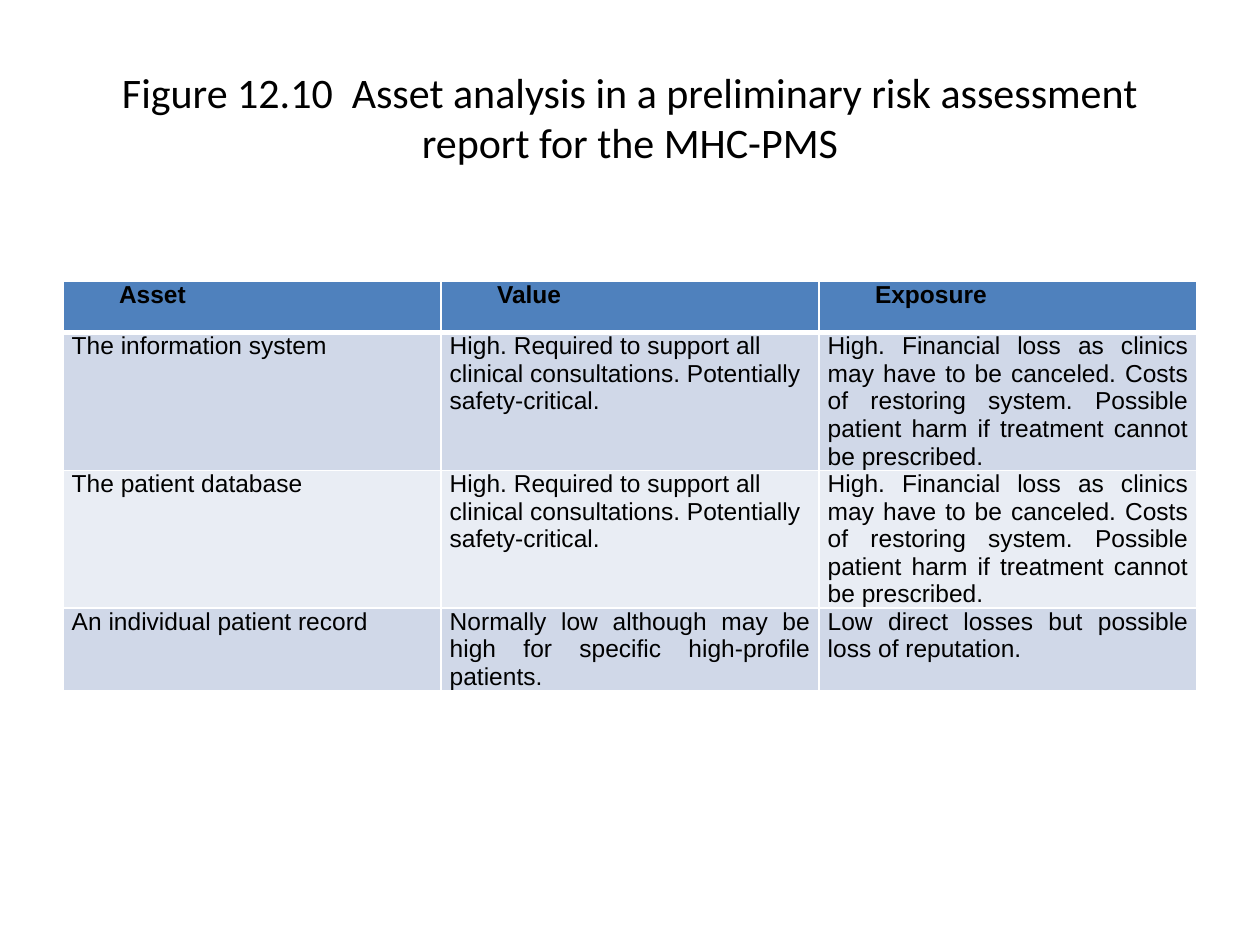
"""Build the asset analysis slide."""
from dataclasses import dataclass

import pptx
import pptx.dml.color
import pptx.enum.text
import pptx.util
from lxml import etree

Pt = pptx.util.Pt
ALIGN = pptx.enum.text.PP_ALIGN
ANCHOR = pptx.enum.text.MSO_ANCHOR
COLORS = {"text": "000000", "border": "FFFFFF", "header": "4F81BD",
          "band_dark": "D0D8E8", "band_light": "E9EDF4"}
DRAWING = "http://schemas.openxmlformats.org/drawingml/2006/main"
BORDER_TAGS = ("lnL", "lnR", "lnT", "lnB")
HEADER_INDENT = 27
ROW_HEIGHT = 29.5
COLUMN_WIDTH = 216


@dataclass
class Asset:
    """One row of the risk assessment."""
    name: str
    value: str
    exposure: str
    value_align: ALIGN = ALIGN.JUSTIFY


SUPPORT = ("High. Required to support all clinical consultations. "
           "Potentially safety-critical.")
LOSS = ("High. Financial loss as clinics may have to be canceled. Costs of "
        "restoring system. Possible patient harm if treatment cannot be prescribed.")
ASSETS = [
    Asset("Asset", "Value", "Exposure"),
    Asset("The information system", SUPPORT, LOSS, ALIGN.LEFT),
    Asset("The patient database", SUPPORT, LOSS, ALIGN.LEFT),
    Asset("An individual patient record",
          "Normally low although may be high for specific high-profile patients.",
          "Low direct losses but possible loss of reputation."),
]


def rgb(name: str) -> pptx.dml.color.RGBColor:
    """Return a named colour."""
    return pptx.dml.color.RGBColor.from_string(COLORS[name])


def format_font(para, face: str, size: float, bold: bool = False) -> None:
    """Format every run of a paragraph."""
    for span in para.runs:
        span.font.name = face
        span.font.size = Pt(size)
        span.font.bold = bold
        span.font.color.rgb = rgb("text")


def add_borders(cell, bottom: float) -> None:
    """Draw white cell borders, with the given width at the bottom."""
    properties = cell._tc.get_or_add_tcPr()
    for position, tag in enumerate(BORDER_TAGS):
        width = bottom if tag == "lnB" else 1
        line = etree.Element(f"{{{DRAWING}}}{tag}", w=str(int(Pt(width))))
        fill = etree.SubElement(line, f"{{{DRAWING}}}solidFill")
        etree.SubElement(fill, f"{{{DRAWING}}}srgbClr", val=COLORS["border"])
        properties.insert(position, line)


def fill_cell(cell, text: str, align: ALIGN, fill: str, header: bool) -> None:
    """Set the text, fill and borders of one cell."""
    cell.margin_left = cell.margin_right = Pt(5)
    cell.margin_top = cell.margin_bottom = Pt(0)
    cell.vertical_anchor = ANCHOR.TOP
    cell.fill.solid()
    cell.fill.fore_color.rgb = rgb(fill)
    cell.text_frame.text = text
    para = cell.text_frame.paragraphs[0]
    para.alignment = align
    format_font(para, "Arial", 14, header)
    if header:
        para._p.get_or_add_pPr().set("indent", str(int(Pt(HEADER_INDENT))))
    add_borders(cell, 3 if header else 1)


def add_title(page, text: str) -> None:
    """Place and format the title."""
    title = page.shapes.title
    title.left, title.top = Pt(36), Pt(21.6)
    title.width, title.height = Pt(648), Pt(90)
    title.text_frame.text = text
    title.text_frame.vertical_anchor = ANCHOR.MIDDLE
    para = title.text_frame.paragraphs[0]
    para.alignment = ALIGN.CENTER
    format_font(para, "Calibri", 24)


def add_asset_table(page, assets: list[Asset]) -> None:
    """Add the table; rows grow to fit their text."""
    frame = page.shapes.add_table(len(assets), 3, Pt(36), Pt(160.6),
                                  Pt(3 * COLUMN_WIDTH), Pt(ROW_HEIGHT * len(assets)))
    table = frame.table
    for column in table.columns:
        column.width = Pt(COLUMN_WIDTH)
    for index, asset in enumerate(assets):
        table.rows[index].height = Pt(ROW_HEIGHT)
        header = index == 0
        fill = "header" if header else "band_dark" if index % 2 else "band_light"
        entries = [(asset.name, ALIGN.JUSTIFY), (asset.value, asset.value_align),
                   (asset.exposure, ALIGN.JUSTIFY)]
        for column, (text, align) in enumerate(entries):
            fill_cell(table.cell(index, column), text, align, fill, header)
    frame.height = Pt(247.7)


def main() -> None:
    """Build and save the deck."""
    deck = pptx.Presentation()
    deck.slide_width, deck.slide_height = Pt(720), Pt(540)
    page = deck.slides.add_slide(deck.slide_layouts[5])
    add_title(page, "Figure 12.10  Asset analysis in a preliminary risk "
                    "assessment report for the MHC-PMS")
    add_asset_table(page, ASSETS)
    deck.save("out.pptx")


main()
